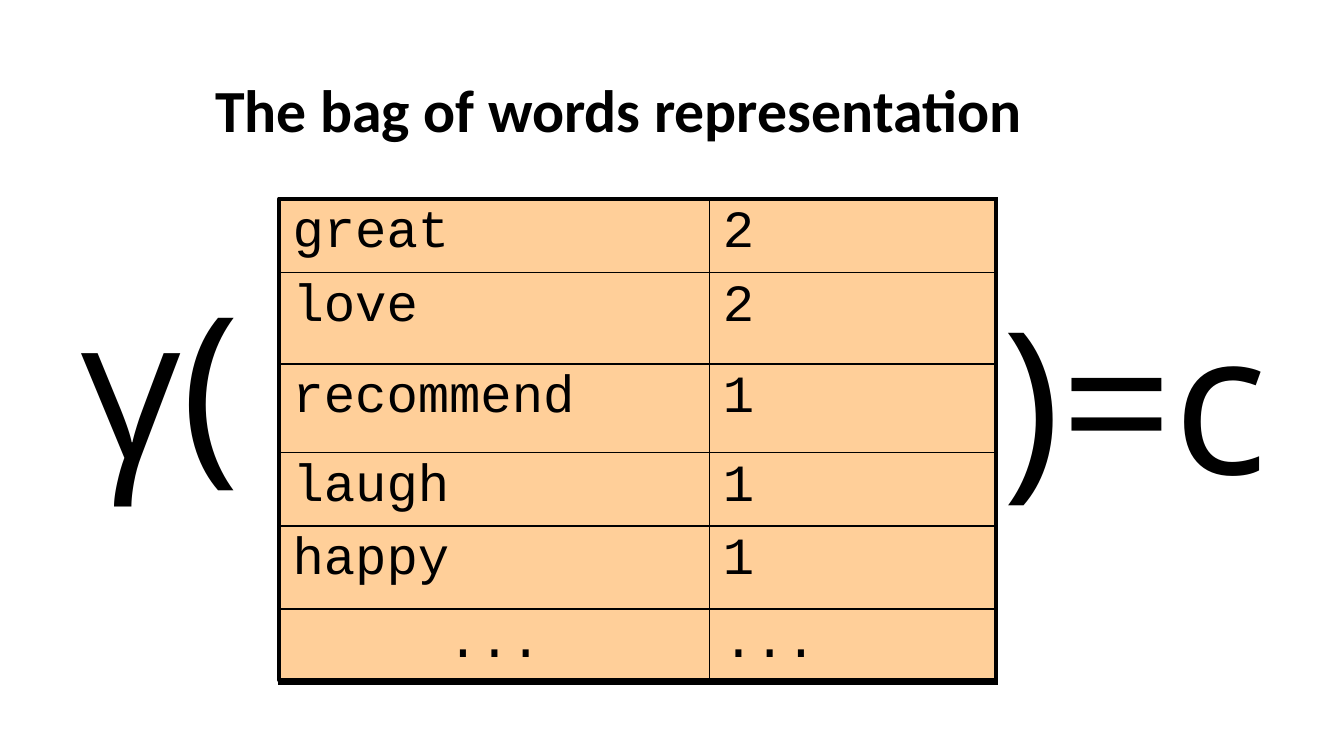
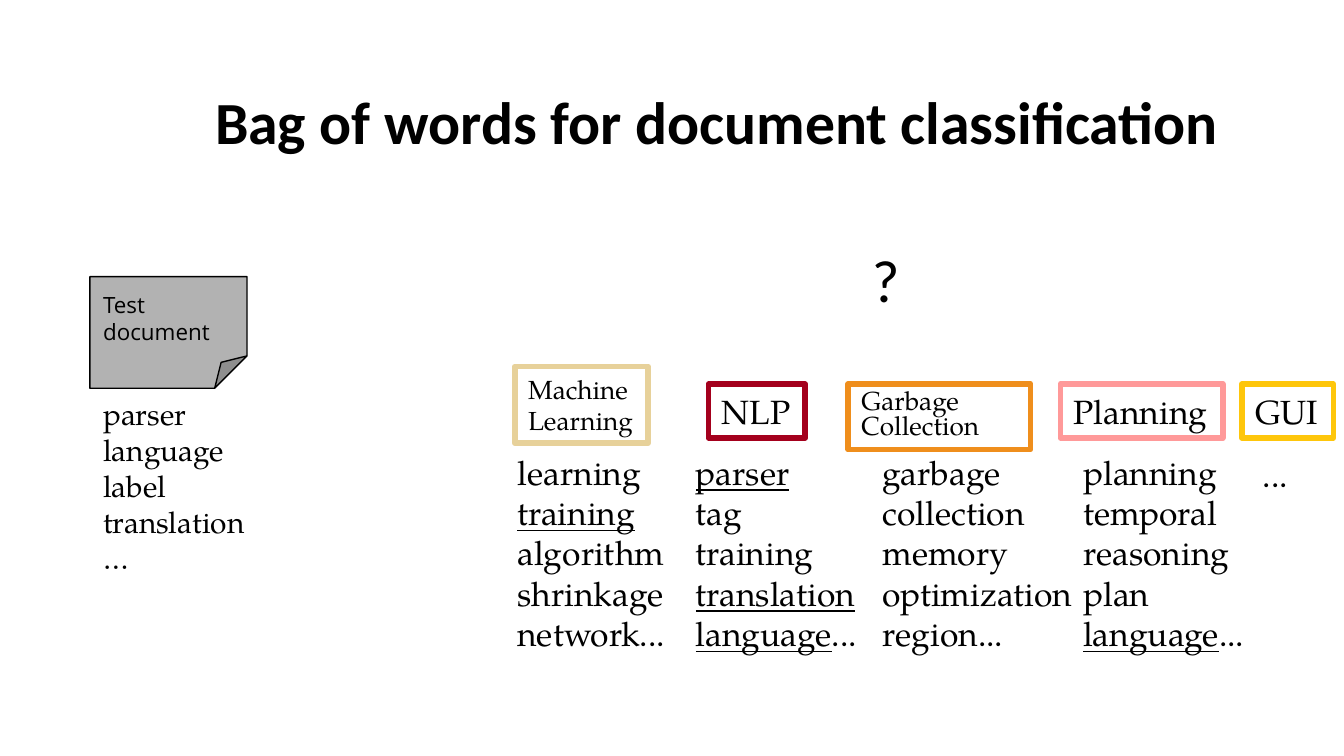
from lxml.etree import SubElement
from pptx import Presentation
from pptx.dml.color import RGBColor
from pptx.enum.shapes import MSO_SHAPE
from pptx.enum.text import MSO_ANCHOR, MSO_AUTO_SIZE, PP_ALIGN
from pptx.oxml.ns import qn
from pptx.util import Cm, Pt

BLACK = "000000"
PEACH = "FFCF99"
GREY = "B2B2B2"
SANS, SERIF, MONO, TITLE = "Open Sans", "TeX Gyre Pagella", "Courier New", "Calibri"

COUNTS = [("great", "2"), ("love", "2"), ("recommend", "1"),
          ("laugh", "1"), ("happy", "1"), ("...", "...")]
ROW_HEIGHTS = [1.19, 1.73, 1.68, 1.14, 1.57, 1.4]
COL_WIDTHS = [8.13, 5.41]

TOPICS = [
    (["Machine Learning"], "E7D19A", (9.73, 6.93, 2.52, 1.45), 14, True, 1,
     (9.53, 8.41, 3.38, 4.11),
     ["learning", "_training_", "algorithm", "shrinkage", "network..."]),
    (["NLP"], "A4001D", (13.39, 7.26, 1.83, 1.02), 18, False, 1,
     (12.9, 8.41, 3.61, 4.11),
     ["_parser_", "tag", "training", "_translation_", "_language_..."]),
    (["Garbage", "Collection"], "EF8E1C", (16.03, 7.26, 3.45, 1.24), 14, True, 0.8,
     (16.43, 8.41, 4.17, 4.11),
     ["garbage", "collection", "memory", "optimization", "region..."]),
    (["Planning"], "FF9999", (20.04, 7.26, 3.07, 1.02), 18, False, 1,
     (20.22, 8.41, 3.61, 4.11),
     ["planning", "temporal", "reasoning", "plan", "_language_..."]),
    (["GUI"], "FEC60B", (23.47, 7.26, 1.73, 1.02), 18, False, 1,
     (23.62, 8.46, 0.99, 1.02), ["..."]),
]


def rgb(value):
    """Turn a hex string into a colour."""
    return RGBColor.from_string(value)


def cm_box(box):
    """Turn left, top, width and height in centimetres into lengths."""
    return [Cm(v) for v in box]


def style_run(r, font, size, bold=False, underline=False):
    """Format one run in black."""
    r.font.name = font
    r.font.size = Pt(size)
    r.font.bold = bold
    r.font.underline = underline
    r.font.color.rgb = rgb(BLACK)


def write(tf, lines, font, size, wrap=False, spacing=None, grow=True):
    """Write one paragraph a line; parts between underscores are underlined."""
    tf.word_wrap = wrap
    tf.auto_size = MSO_AUTO_SIZE.SHAPE_TO_FIT_TEXT if grow else MSO_AUTO_SIZE.NONE
    tf.vertical_anchor = MSO_ANCHOR.TOP
    for i, line in enumerate(lines):
        p = tf.paragraphs[0] if i == 0 else tf.add_paragraph()
        p.alignment = PP_ALIGN.LEFT
        if spacing:
            p.line_spacing = float(spacing)
        for j, part in enumerate(line.split("_")):
            if part:
                r = p.add_run()
                r.text = part
                style_run(r, font, size, underline=j % 2 == 1)


def add_text(s, box, lines, font, size, wrap=False):
    """Add a text box."""
    write(s.shapes.add_textbox(*cm_box(box)).text_frame, lines, font, size, wrap)


def add_box(s, kind, box, fill, line, width):
    """Add a flat preset shape."""
    sp = s.shapes.add_shape(kind, *cm_box(box))
    sp.shadow.inherit = False
    if fill:
        sp.fill.solid()
        sp.fill.fore_color.rgb = rgb(fill)
    else:
        sp.fill.background()
    sp.line.color.rgb = rgb(line)
    sp.line.width = Pt(width)
    return sp


def add_titled_slide(prs, text, top):
    """Add a title-only slide and format its title."""
    s = prs.slides.add_slide(prs.slide_layouts[5])
    title = s.shapes.title
    title.left, title.top, title.width, title.height = cm_box((3.81, top, 20.75, 2.06))
    tf = title.text_frame
    tf.word_wrap = True
    tf.auto_size = MSO_AUTO_SIZE.NONE
    tf.vertical_anchor = MSO_ANCHOR.BOTTOM
    p = tf.paragraphs[0]
    p.alignment = PP_ALIGN.LEFT
    r = p.add_run()
    r.text = text
    style_run(r, TITLE, 32, bold=True)
    return s


def set_borders(cell, widths):
    """Draw black cell borders with widths for left, right, top and bottom."""
    tcPr = cell._tc.get_or_add_tcPr()
    for side, width in zip("LRTB", widths):
        ln = SubElement(tcPr, qn(f"a:ln{side}"), w=str(int(Pt(width))))
        fill = SubElement(ln, qn("a:solidFill"))
        SubElement(fill, qn("a:srgbClr"), val=BLACK)


def add_count_table(s, box):
    """Place the word counts over a filled panel."""
    add_box(s, MSO_SHAPE.RECTANGLE, box, PEACH, BLACK, 2.25)
    rows, cols = len(COUNTS), len(COL_WIDTHS)
    table = s.shapes.add_table(rows, cols, *cm_box(box)).table
    table.first_row = table.horz_banding = False
    for col, width in zip(table.columns, COL_WIDTHS):
        col.width = Cm(width)
    for i, (words, height) in enumerate(zip(COUNTS, ROW_HEIGHTS)):
        table.rows[i].height = Cm(height)
        for j, word in enumerate(words):
            cell = table.cell(i, j)
            cell.margin_left = cell.margin_right = Cm(0.25)
            cell.margin_top = cell.margin_bottom = Cm(0.1)
            edges = (j == 0, j == cols - 1, i == 0, i == rows - 1)
            set_borders(cell, [2.25 if edge else 1 for edge in edges])
            cell.fill.background()
            p = cell.text_frame.paragraphs[0]
            centred = i == rows - 1 and j == 0
            p.alignment = PP_ALIGN.CENTER if centred else PP_ALIGN.LEFT
            r = p.add_run()
            r.text = word
            style_run(r, MONO, 28)


def set_fold(sp, share):
    """Set the size of a folded corner as a share of the short side."""
    guides = sp._element.spPr.find(qn("a:prstGeom")).get_or_add_avLst()
    SubElement(guides, qn("a:gd"), name="adj", fmla=f"val {round(share * 100000)}")


def add_test_document(s, left, top):
    """Place the folded test document with its words below."""
    sp = add_box(s, MSO_SHAPE.FOLDED_CORNER, (left, top, 2.97, 2.11), GREY, BLACK, 0.75)
    set_fold(sp, 0.29)
    sp.text_frame.margin_top = Cm(0.27)
    write(sp.text_frame, ["Test", "document"], SANS, 12, wrap=True, grow=False)
    words = ["parser", "language", "label", "translation", "…"]
    add_text(s, (left, top + 2.13, 3.23, 3.68), words, SERIF, 16)


def add_topic(s, names, colour, box, size, wrap, spacing, words_box, words):
    """Place one framed topic and its list of words."""
    sp = add_box(s, MSO_SHAPE.RECTANGLE, box, None, colour, 3)
    write(sp.text_frame, names, SERIF, size, wrap, spacing)
    add_text(s, words_box, words, SERIF, 18)


def build_representation(prs):
    """Build the slide with the classifier applied to word counts."""
    s = add_titled_slide(prs, "The bag of words representation", 0.79)
    add_text(s, (1.27, 4.83, 3.81, 4.78), ["γ("], SANS, 106, wrap=True)
    add_text(s, (18.69, 5.11, 6.07, 4.78), [")=c"], SANS, 106)
    add_count_table(s, (5.28, 3.76, sum(COL_WIDTHS), 9.1))


def build_classification(prs):
    """Build the slide that compares a test document with topics."""
    s = add_titled_slide(prs, "Bag of words for document classification", 1.02)
    add_test_document(s, 1.7, 5.23)
    for topic in TOPICS:
        add_topic(s, *topic)
    add_text(s, (16.23, 4.47, 1.04, 1.63), ["?"], TITLE, 32)


def main():
    """Build and save the presentation."""
    prs = Presentation()
    prs.slide_width, prs.slide_height = Cm(25.4), Cm(14.29)
    build_representation(prs)
    build_classification(prs)
    prs.save("out.pptx")


if __name__ == "__main__":
    main()
